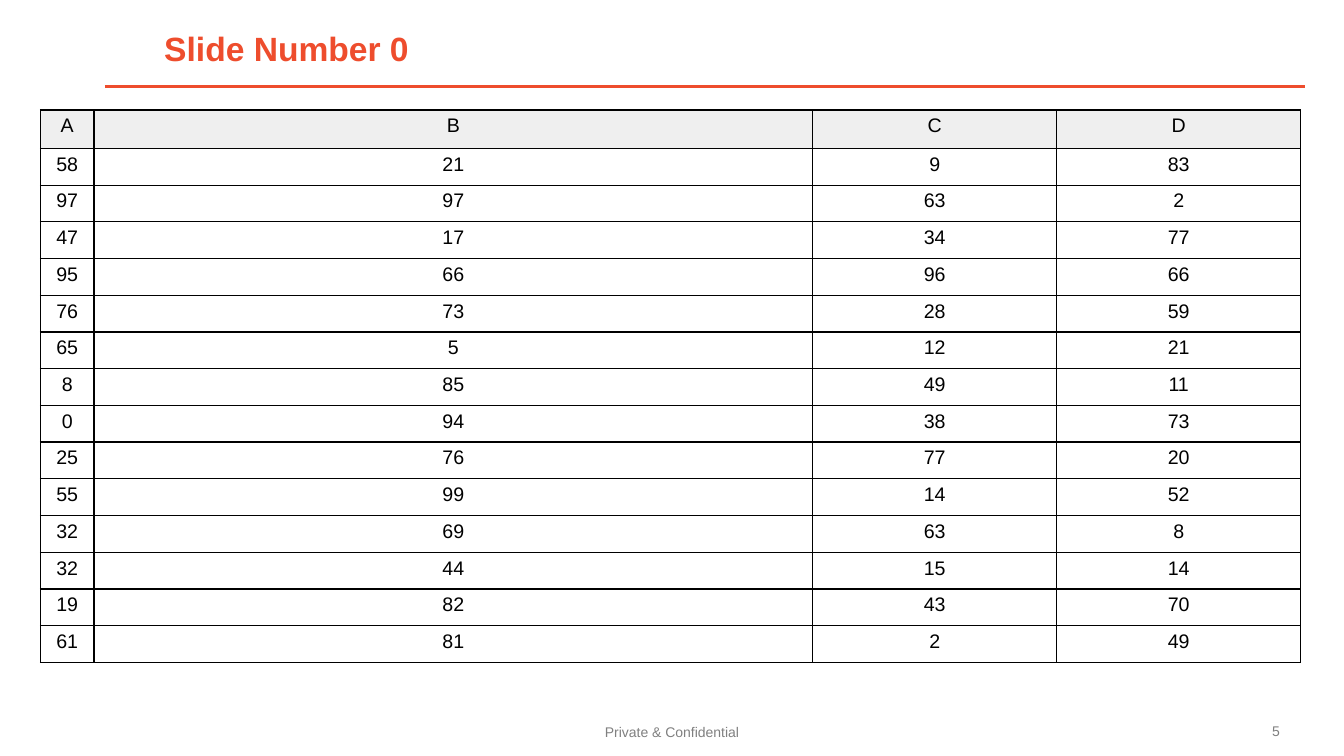
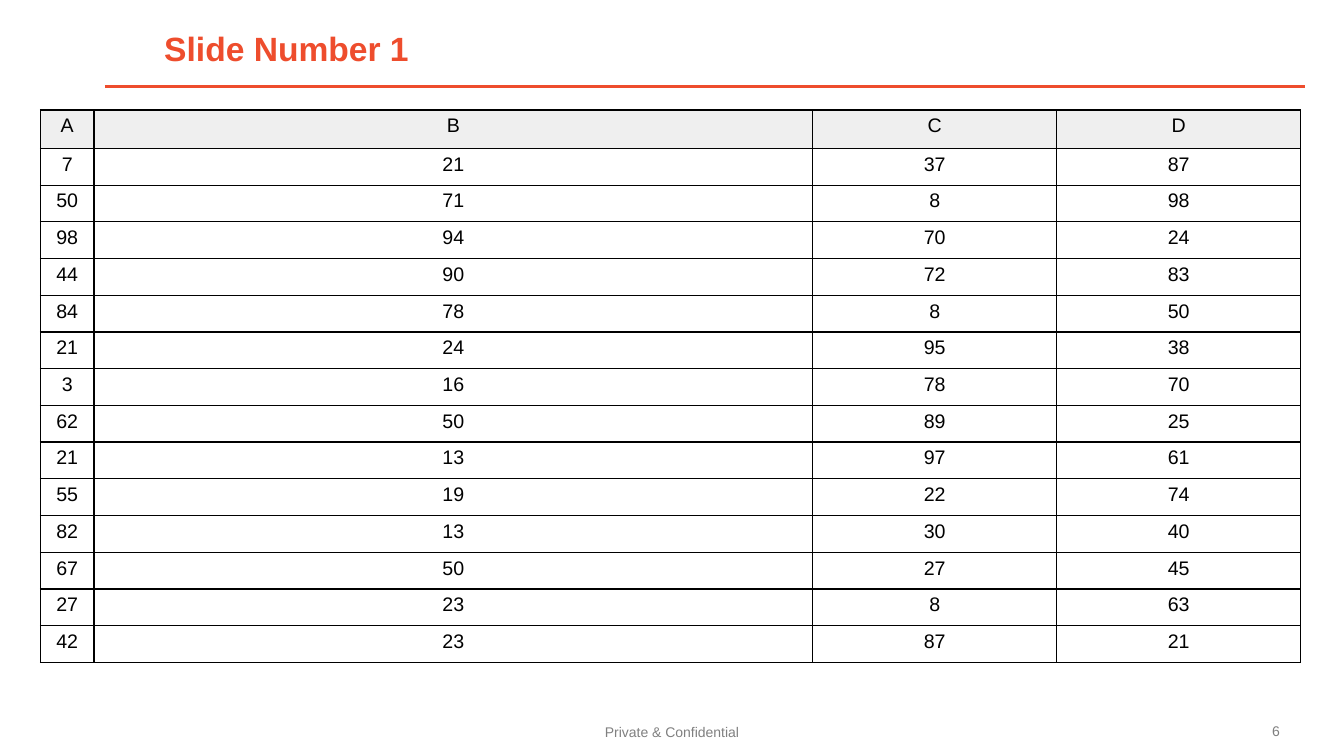
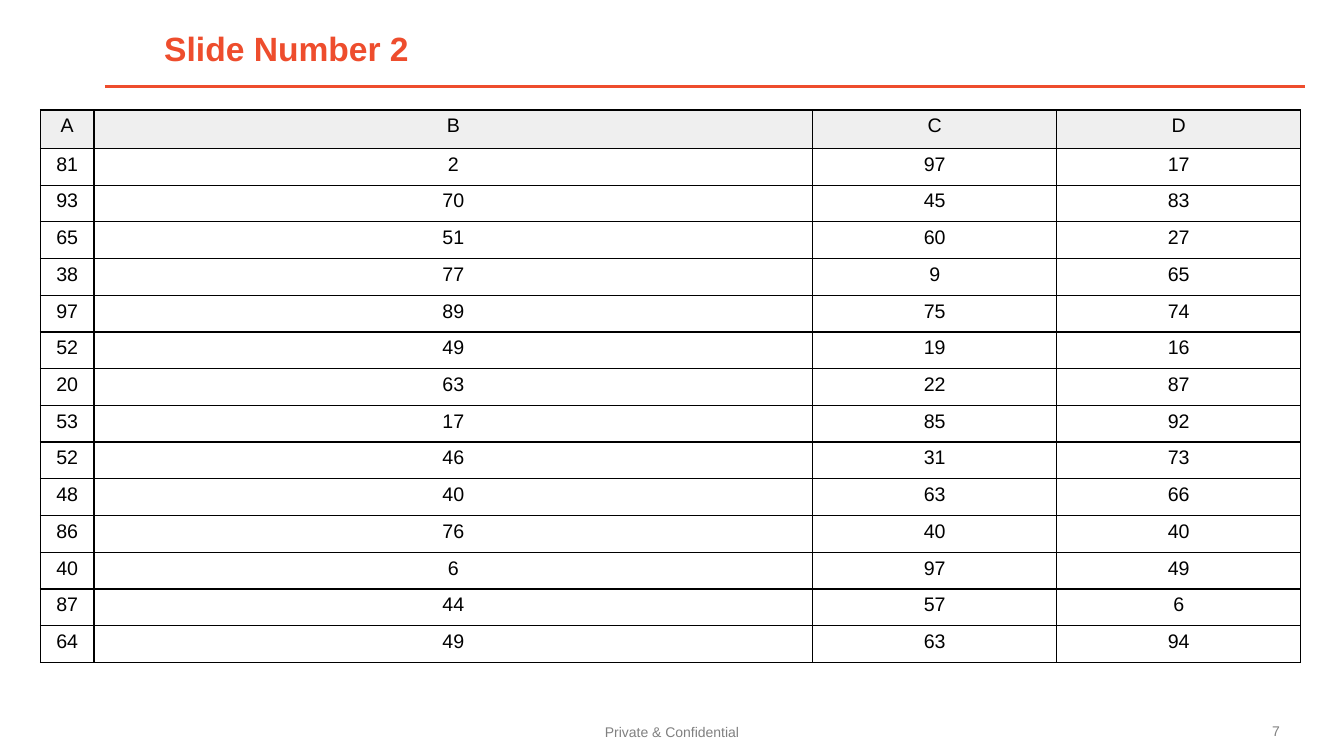
from dataclasses import dataclass

from lxml import etree
from pptx import Presentation
from pptx.dml.color import RGBColor
from pptx.enum import shapes, text
from pptx.oxml import ns
from pptx.util import Cm, Pt

HEAD = ("A", "B", "C", "D")
FOOT = "Private & Confidential"
FIRST = 5  # number shown on the first slide

SLIDES = [
    ("Slide Number 0", [
        (58, 21, 9, 83), (97, 97, 63, 2), (47, 17, 34, 77), (95, 66, 96, 66),
        (76, 73, 28, 59), (65, 5, 12, 21), (8, 85, 49, 11), (0, 94, 38, 73),
        (25, 76, 77, 20), (55, 99, 14, 52), (32, 69, 63, 8), (32, 44, 15, 14),
        (19, 82, 43, 70), (61, 81, 2, 49),
    ]),
    ("Slide Number 1", [
        (7, 21, 37, 87), (50, 71, 8, 98), (98, 94, 70, 24), (44, 90, 72, 83),
        (84, 78, 8, 50), (21, 24, 95, 38), (3, 16, 78, 70), (62, 50, 89, 25),
        (21, 13, 97, 61), (55, 19, 22, 74), (82, 13, 30, 40), (67, 50, 27, 45),
        (27, 23, 8, 63), (42, 23, 87, 21),
    ]),
    ("Slide Number 2", [
        (81, 2, 97, 17), (93, 70, 45, 83), (65, 51, 60, 27), (38, 77, 9, 65),
        (97, 89, 75, 74), (52, 49, 19, 16), (20, 63, 22, 87), (53, 17, 85, 92),
        (52, 46, 31, 73), (48, 40, 63, 66), (86, 76, 40, 40), (40, 6, 97, 49),
        (87, 44, 57, 6), (64, 49, 63, 94),
    ]),
]


@dataclass(frozen=True)
class Theme:
    font: str = "Arial"
    accent: str = "EE4D2D"
    ink: str = "000000"
    foot: str = "808080"
    page: str = "7F7F7F"
    head: str = "EFEFEF"
    body: str = "FFFFFF"
    title_size: int = 24
    cell_size: int = 14
    foot_size: int = 10


T = Theme()
LEFT, CENTER = text.PP_ALIGN.LEFT, text.PP_ALIGN.CENTER
COLS = (Cm(1.35), Cm(18.11), Cm(6.15), Cm(6.15))
TALL, TOP = Cm(13.92), Cm(0.97)  # whole table, header row


def write(frame, words, size, color, align=LEFT, bold=False):
    frame.text = words
    para = frame.paragraphs[0]
    para.alignment = align
    font = para.runs[0].font
    font.name, font.size, font.bold = T.font, Pt(size), bold
    font.color.rgb = RGBColor.from_string(color)


def add_text(slide, box, words, size, color, inset=None, **style):
    """Add a text box; one with an inset on all sides is centred vertically."""
    frame = slide.shapes.add_textbox(*box).text_frame
    frame.word_wrap = True
    if inset is not None:
        frame.margin_left = frame.margin_right = inset
        frame.margin_top = frame.margin_bottom = inset
        frame.vertical_anchor = text.MSO_ANCHOR.MIDDLE
    write(frame, words, size, color, **style)


def add_frame(slide, title, page):
    """Add the rule, footer, page number and title that every slide has."""
    rule = slide.shapes.add_connector(
        shapes.MSO_CONNECTOR.STRAIGHT, Cm(2.64), Cm(2.18), Cm(32.89), Cm(2.18))
    rule.line.color.rgb = RGBColor.from_string(T.accent)
    rule.line.width = Pt(2)
    etree.SubElement(rule._element.spPr, ns.qn("a:effectLst"))
    add_text(slide, (Cm(7.65), Cm(17.83), Cm(18.57), Cm(1.22)), FOOT,
             T.foot_size, T.foot, inset=Cm(0.25), align=CENTER)
    add_text(slide, (Cm(31.78), Cm(17.91), Cm(1.07), Cm(1.04)), str(page),
             T.foot_size, T.page, inset=Cm(0.28))
    add_text(slide, (Cm(3.89), Cm(0.58), Cm(28.3), Cm(1.3)), title,
             T.title_size, T.accent, bold=True)


def add_edges(cell):
    props = cell._tc.get_or_add_tcPr()
    for side in ("lnL", "lnR", "lnT", "lnB"):
        edge = etree.SubElement(props, ns.qn(f"a:{side}"), w=str(Pt(1)))
        fill = etree.SubElement(edge, ns.qn("a:solidFill"))
        etree.SubElement(fill, ns.qn("a:srgbClr"), val=T.ink)


def add_grid(slide, data):
    rows = [HEAD, *data]
    table = slide.shapes.add_table(
        len(rows), len(COLS), Cm(1.02), Cm(2.77), sum(COLS), TALL).table
    table.first_row = table.horz_banding = False
    for col, width in zip(table.columns, COLS):
        col.width = width
    for r, row in enumerate(rows):
        table.rows[r].height = (TALL - TOP) // len(data) if r else TOP
        for c, value in enumerate(row):
            cell = table.cell(r, c)
            add_edges(cell)
            cell.fill.solid()
            cell.fill.fore_color.rgb = RGBColor.from_string(T.body if r else T.head)
            write(cell.text_frame, str(value), T.cell_size, T.ink, CENTER)


def main():
    deck = Presentation()
    deck.slide_width, deck.slide_height = Cm(33.87), Cm(19.05)
    for page, (title, data) in enumerate(SLIDES, FIRST):
        slide = deck.slides.add_slide(deck.slide_layouts[6])
        add_frame(slide, title, page)
        add_grid(slide, data)
    deck.save("out.pptx")


if __name__ == "__main__":
    main()
